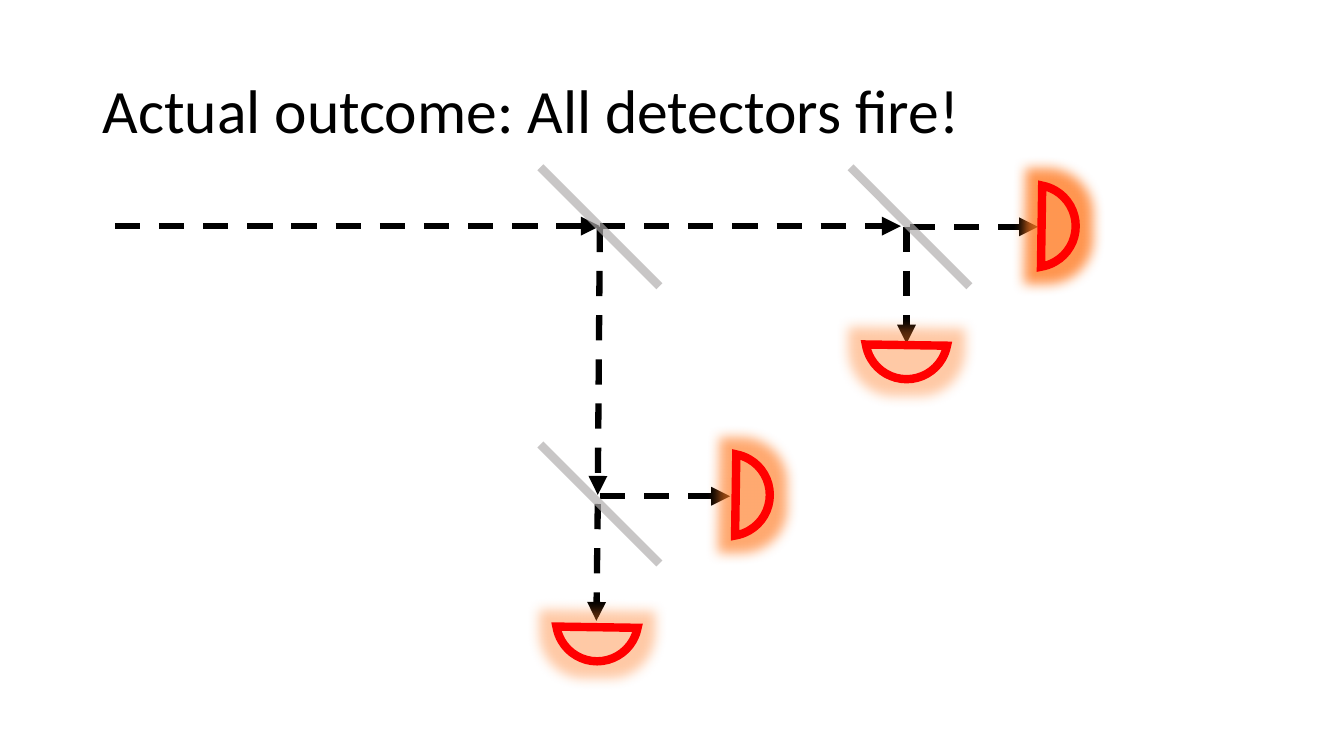
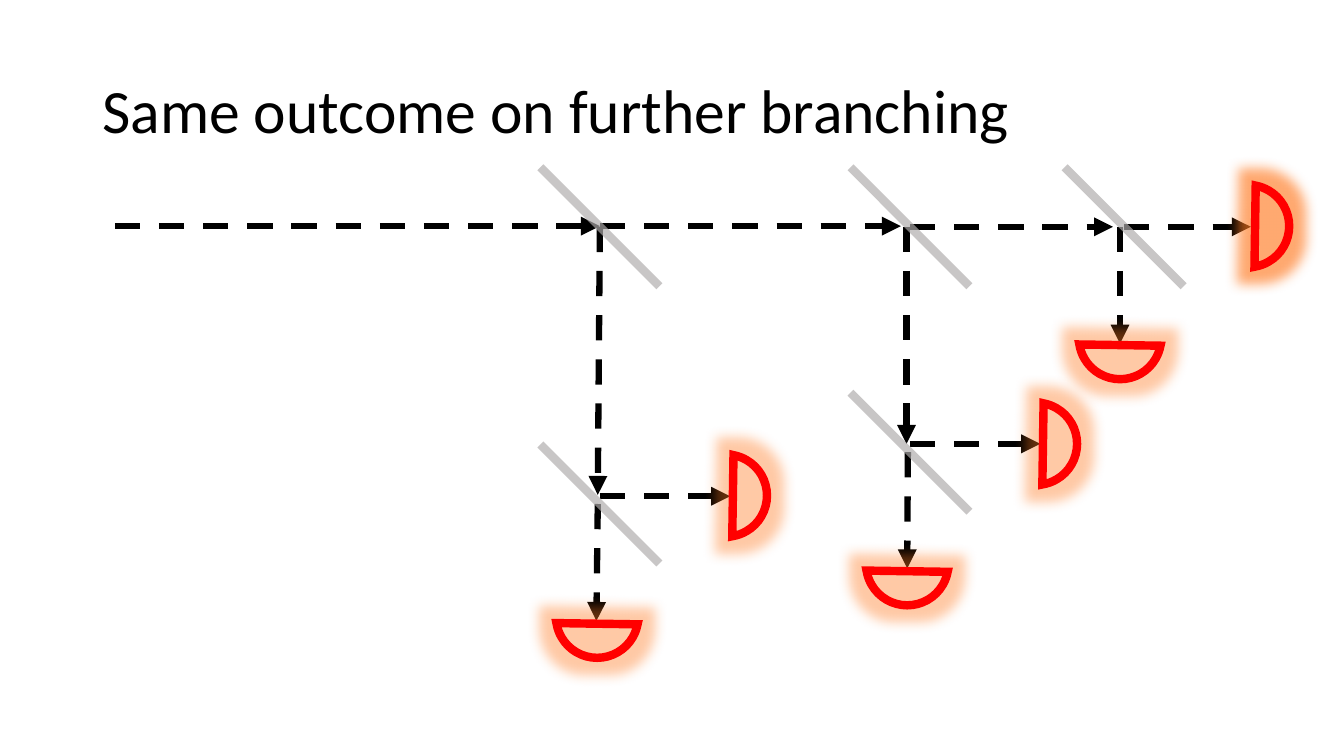
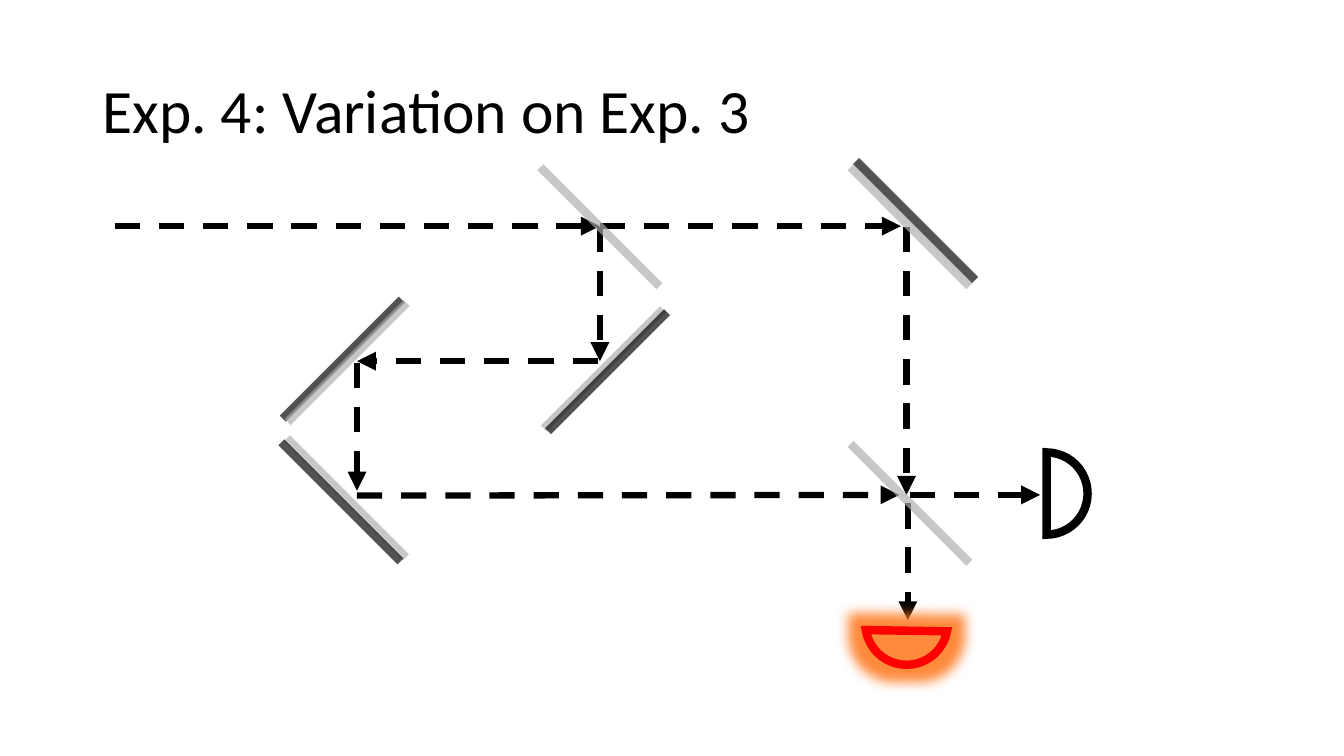
from pptx import Presentation
from pptx.dml.color import RGBColor
from pptx.enum import dml, shapes, text
from pptx.oxml.ns import qn
from pptx.util import Pt
from lxml import etree

BLACK, GREY, RED, GLOW = "000000", "AFABAB", "FF0000", "FF7920"
HALF = 42.5    # half the width of a slanted mirror
DISC = 58.75   # full circle that a detector is cut from

# Chord settings of a detector: rotation and its two angle adjustments
FACES = {
    "right": (0, 168.41, 48.65),
    "down": (90, 168.41, 48.65),
    "idle": (270, 0.18, 107.87),
}

# Beams: x, y at the start, then x, y at the arrowhead
ENTRY = [(82, 161.5, 428.5, 161.5), (428.5, 161.5, 643.5, 161.5)]
FORK = ENTRY + [
    (428.5, 162, 427, 353.5), (428.5, 354.5, 521.5, 354.5),
    (427, 360, 426, 443.5),
]

# Mirrors: centre x, y, colour, slope (1 falls to the right, -1 rises)
SPLIT = [(428.5, 162, GREY, 1), (650, 162, GREY, 1)]
LOWER = [(428.5, 360, GREY, 1)]

# Detectors: centre x, y, face, number of glow layers (0 = not firing)
SLIDES = [
    {
        "title": "Actual outcome: All detectors fire!",
        "beams": FORK + [(650, 162, 741.5, 162), (647.5, 162, 647.5, 245.5)],
        "mirrors": SPLIT + LOWER,
        "cells": [
            (739, 161.5, "right", 3), (647.5, 241.5, "down", 1),
            (520.5, 353.5, "right", 2), (426.5, 443, "down", 1),
        ],
    },
    {
        "title": "Same outcome on further branching",
        "beams": FORK + [
            (650, 162, 795, 162), (647.5, 162, 647.5, 317),
            (803, 162, 893.5, 162), (800, 162, 800, 245.5),
            (650, 317, 743, 317), (648.5, 323, 648, 406),
        ],
        "mirrors": SPLIT + LOWER + [(803, 162, GREY, 1), (650, 323, GREY, 1)],
        "cells": [
            (518.5, 354, "right", 1), (426.5, 440.5, "down", 1),
            (891.5, 161.5, "right", 2), (800, 241.5, "down", 1),
            (740, 317, "right", 1), (648, 403, "down", 1),
        ],
    },
    {
        "title": "Exp. 4: Variation on Exp. 3",
        "beams": ENTRY + [
            (428.5, 162, 428.5, 258), (427, 258, 255, 258),
            (255, 259, 255, 350.5), (255, 354, 642.5, 353.5),
            (647.5, 162, 647.5, 353.5), (650, 353.5, 743, 353.5),
            (648.5, 359.5, 648.5, 443),
        ],
        "mirrors": SPLIT + [
            (650, 359.5, GREY, 1), (654, 157.5, BLACK, 1),
            (247.5, 355.5, GREY, 1), (243.5, 358.5, BLACK, 1),
            (431, 263.5, GREY, -1), (434, 265.5, BLACK, -1),
            (244.5, 256.5, BLACK, -1), (248, 259, GREY, -1),
        ],
        "cells": [(747.5, 352.5, "idle", 0), (647.5, 445.5, "down", 4)],
    },
]


def rgb(tone):
    return RGBColor.from_string(tone)


def add(node, tag, **attrs):
    return etree.SubElement(node, qn(tag), attrs)


def find(shape, tag):
    return next(shape.element.iter(qn(tag)))


def stroke(shape, tone, width):
    shape.line.color.rgb = rgb(tone)
    shape.line.width = Pt(width)


def link(slide, ends, tone, width):
    line = slide.shapes.add_connector(
        shapes.MSO_CONNECTOR.STRAIGHT, *[Pt(n) for n in ends])
    stroke(line, tone, width)
    add(line.element.spPr, "a:effectLst")
    return line


def beam(slide, *ends):
    line = link(slide, ends, BLACK, 4.5)
    line.line.dash_style = dml.MSO_LINE.DASH
    add(find(line, "a:ln"), "a:tailEnd", type="triangle")


def mirror(slide, x, y, tone, slope):
    rise = HALF * slope
    line = link(slide, (x - HALF, y - rise, x + HALF, y + rise), tone, 6)
    add(find(line, "a:srgbClr"), "a:alpha", val="67000")


def cell(slide, x, y, face, layers):
    turn, *angles = FACES[face]
    disc = slide.shapes.add_shape(
        shapes.MSO_SHAPE.CHORD, Pt(x - DISC / 2), Pt(y - DISC / 2),
        Pt(DISC), Pt(DISC))
    disc.rotation = turn
    for i, angle in enumerate(angles):
        disc.adjustments[i] = angle
    disc.fill.background()
    stroke(disc, RED if layers else BLACK, 6)
    add(find(disc, "a:ln"), "a:miter", lim="800000")
    disc.shadow.inherit = False
    if layers:
        # Each layer covers 40 % of what shows through the ones below
        alpha = round(100 * (1 - 0.6 ** layers)) * 1000
        glow = add(find(disc, "a:effectLst"), "a:glow", rad=str(Pt(18)))
        add(add(glow, "a:srgbClr", val=GLOW), "a:alpha", val=str(alpha))


def head(slide, words):
    title = slide.shapes.title
    title.left, title.top, title.width, title.height = (
        Pt(66), Pt(28.75), Pt(828), Pt(104.5))
    frame = title.text_frame
    frame.text = words
    frame.auto_size = text.MSO_AUTO_SIZE.NONE
    frame.vertical_anchor = text.MSO_ANCHOR.MIDDLE
    para = frame.paragraphs[0]
    para.alignment = text.PP_ALIGN.LEFT
    para.line_spacing = 0.9
    para.font.name, para.font.size = "Calibri", Pt(44)
    para.font.color.rgb = rgb(BLACK)


def main():
    deck = Presentation()
    deck.slide_width, deck.slide_height = Pt(960), Pt(540)
    for page in SLIDES:
        slide = deck.slides.add_slide(deck.slide_layouts[5])
        head(slide, page["title"])
        for key, draw in (("beams", beam), ("mirrors", mirror), ("cells", cell)):
            for item in page[key]:
                draw(slide, *item)
    deck.save("out.pptx")


if __name__ == "__main__":
    main()
